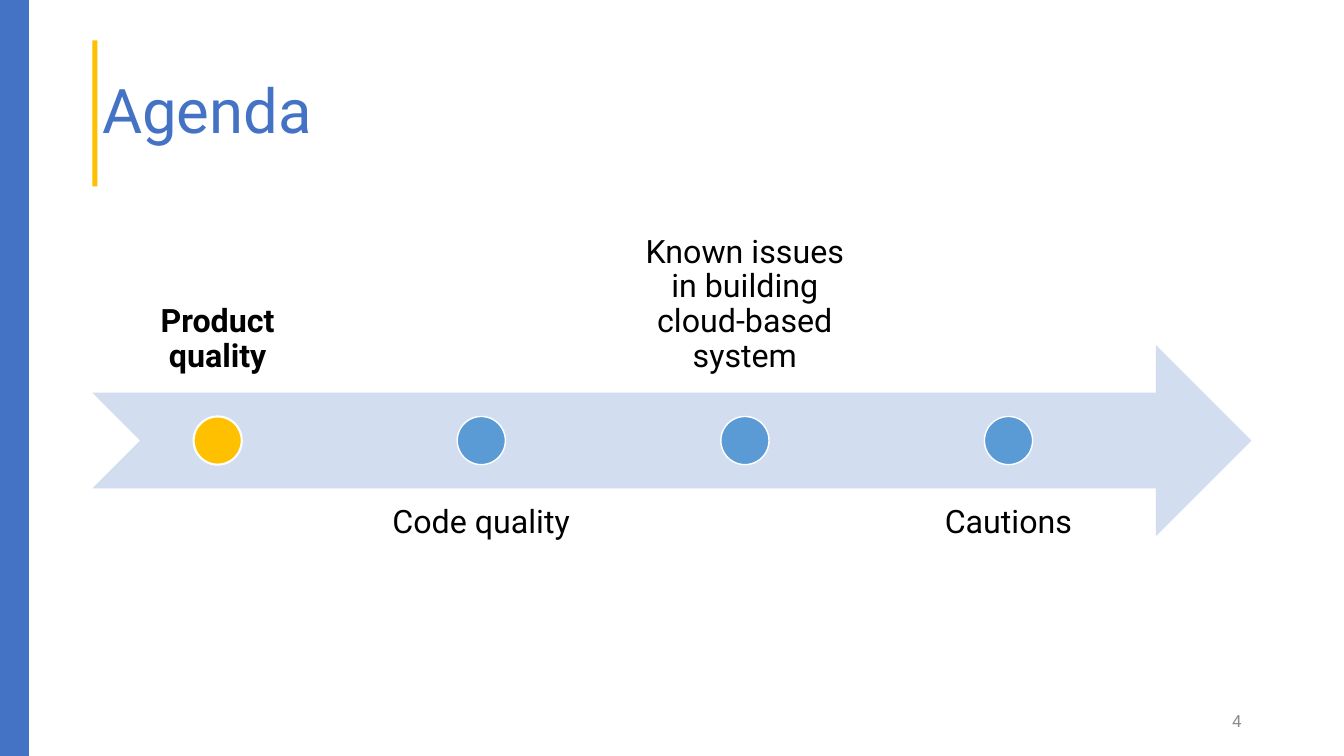
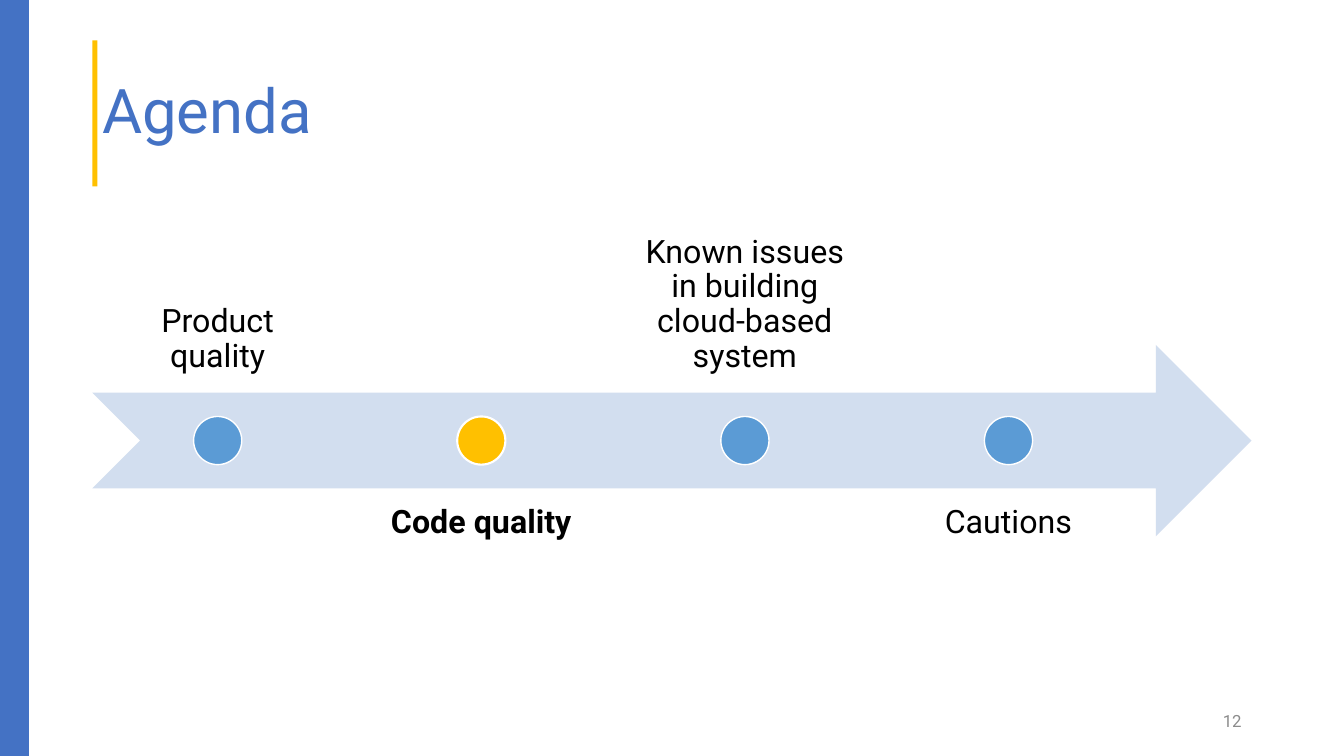
from dataclasses import dataclass

from pptx import Presentation
from pptx.dml.color import RGBColor
from pptx.enum.shapes import MSO_SHAPE as Shape
from pptx.enum.text import MSO_ANCHOR as Anchor, PP_ALIGN as Align
from pptx.util import Pt


@dataclass(frozen=True)
class Theme:
    font: str = "Roboto"
    blue: str = "4472C4"
    gold: str = "FFC000"
    arrow: str = "D2DEEF"
    dot: str = "5B9BD5"
    white: str = "FFFFFF"
    black: str = "000000"
    grey: str = "8C8C8C"
    title_size: float = 44
    label_size: float = 23
    number_size: float = 12


@dataclass(frozen=True)
class Box:
    x: float
    y: float
    w: float
    h: float

    def lengths(self) -> tuple:
        return Pt(self.x), Pt(self.y), Pt(self.w), Pt(self.h)


@dataclass(frozen=True)
class Agenda:
    number: int
    current: str


THEME = Theme()
TOPICS = (
    "Product quality",
    "Code quality",
    "Known issues in building cloud-based system",
    "Cautions",
)
AGENDAS = (Agenda(4, "Product quality"), Agenda(12, "Code quality"))

# Layout, in points
SLIDE_W, SLIDE_H = 960, 540
TITLE = Box(66, 28.8, 828, 104.4)
ARROW = Box(66, 246.3, 828, 136.8)
NUMBER = Box(678, 500.4, 216, 28.8)
LABEL_W, LABEL_STEP, LABEL_INSET = 179, 188.3, 13
DOT = 34.4


def add_shape(s, kind: Shape, box: Box, fill: str,
              line: str | None = None, line_w: float = 1) -> None:
    sp = s.shapes.add_shape(kind, *box.lengths())
    sp.shadow.inherit = False
    sp.fill.solid()
    sp.fill.fore_color.rgb = RGBColor.from_string(fill)
    if line is None:
        sp.line.fill.background()
    else:
        sp.line.color.rgb = RGBColor.from_string(line)
        sp.line.width = Pt(line_w)


def add_text(s, text: str, box: Box, *, size: float, color: str,
             bold: bool = False, align: Align = Align.LEFT,
             anchor: Anchor = Anchor.MIDDLE, spacing: float = 0.9,
             inset: float | None = None) -> None:
    tf = s.shapes.add_textbox(*box.lengths()).text_frame
    tf.word_wrap = True
    tf.vertical_anchor = anchor
    if inset is not None:
        tf.margin_left = tf.margin_right = Pt(inset)
        tf.margin_top = tf.margin_bottom = Pt(inset)
    p = tf.paragraphs[0]
    p.alignment = align
    p.line_spacing = spacing
    r = p.add_run()
    r.text = text
    r.font.name = THEME.font
    r.font.size = Pt(size)
    r.font.bold = bold
    r.font.color.rgb = RGBColor.from_string(color)


def add_frame(s, title: str, number: int) -> None:
    """Side band, title with its accent bar, and slide number."""
    add_shape(s, Shape.RECTANGLE, Box(0, 0, 20.6, SLIDE_H), THEME.blue)
    add_shape(s, Shape.RECTANGLE, Box(TITLE.x, TITLE.y, 3.6, TITLE.h), THEME.gold)
    add_text(s, title, TITLE, size=THEME.title_size, color=THEME.blue)
    add_text(s, str(number), NUMBER, size=THEME.number_size, color=THEME.grey,
             align=Align.RIGHT, spacing=1.0)


def add_timeline(s, current: str) -> None:
    """Arrow with one dot per topic; labels alternate above and below."""
    add_shape(s, Shape.NOTCHED_RIGHT_ARROW, ARROW, THEME.arrow)
    middle = ARROW.y + ARROW.h / 2
    bar_half = ARROW.h / 4
    for i, topic in enumerate(TOPICS):
        active = topic == current
        above = i % 2 == 0
        x = ARROW.x + i * LABEL_STEP
        y = middle - bar_half - ARROW.h if above else middle + bar_half
        add_text(s, topic, Box(x, y, LABEL_W, ARROW.h),
                 size=THEME.label_size, color=THEME.black, bold=active,
                 align=Align.CENTER, inset=LABEL_INSET,
                 anchor=Anchor.BOTTOM if above else Anchor.TOP)
        add_shape(s, Shape.OVAL,
                  Box(x + (LABEL_W - DOT) / 2, middle - DOT / 2, DOT, DOT),
                  THEME.gold if active else THEME.dot,
                  line=THEME.white, line_w=1.5 if active else 1)


def main() -> None:
    prs = Presentation()
    prs.slide_width, prs.slide_height = Pt(SLIDE_W), Pt(SLIDE_H)
    blank = prs.slide_layouts[6]
    for agenda in AGENDAS:
        s = prs.slides.add_slide(blank)
        add_frame(s, "Agenda", agenda.number)
        add_timeline(s, agenda.current)
    prs.save("out.pptx")


if __name__ == "__main__":
    main()
